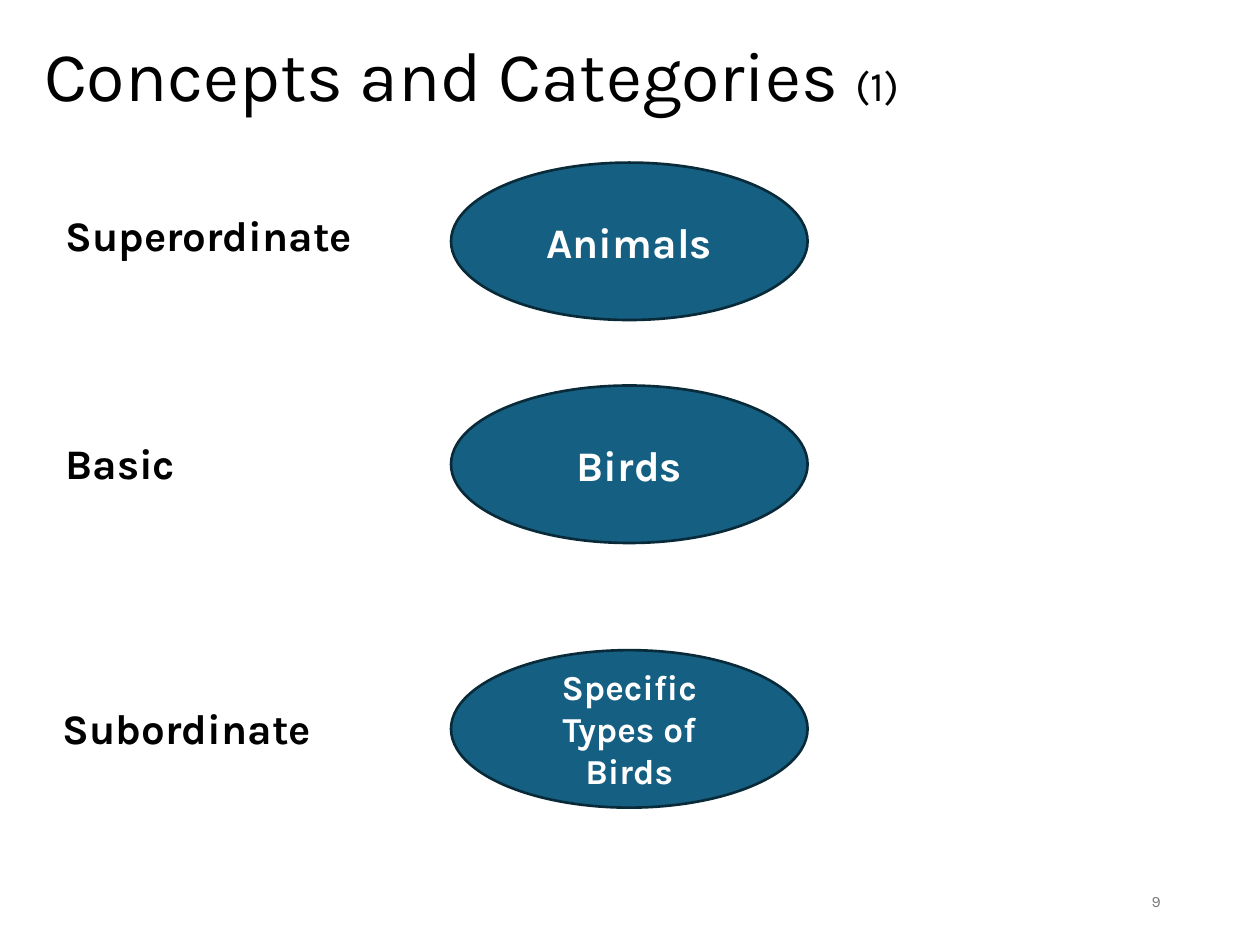
from pptx import Presentation
from pptx.dml.color import RGBColor
from pptx.enum import shapes, text
from pptx.util import Inches, Pt


def color(value):
    return RGBColor.from_string(value)


def write(para, words, size, fill="000000", bold=False, align=text.PP_ALIGN.LEFT):
    para.alignment = align
    span = para.add_run()
    span.text = words
    span.font.name = "Karla"
    span.font.size = Pt(size)
    span.font.bold = bold
    span.font.color.rgb = color(fill)


deck = Presentation()
deck.slide_width, deck.slide_height = Inches(10), Inches(7.5)
page = deck.slides.add_slide(deck.slide_layouts[5])

title = page.shapes.title
title.left, title.top = Inches(0.25), Inches(0)
title.width, title.height = Inches(9), Inches(1.25)
title.text_frame.vertical_anchor = text.MSO_ANCHOR.MIDDLE
heading = title.text_frame.paragraphs[0]
heading.line_spacing = 0.9
write(heading, "Concepts and Categories ", 40)
write(heading, "(1)", 24)

# level, label left and top, example, ellipse top, example size
levels = [
    ("Superordinate", 0.42, 1.61, "Animals", 1.29, 24),
    ("Basic", 0.42, 3.42, "Birds", 3.06, 24),
    ("Subordinate", 0.4, 5.53, "Specific Types of Birds", 5.16, 20),
]
for level, left, label_top, example, ellipse_top, size in levels:
    label = page.shapes.add_textbox(
        Inches(left), Inches(label_top), Inches(2.83), Inches(0.5))
    label.text_frame.word_wrap = True
    label.text_frame.auto_size = text.MSO_AUTO_SIZE.SHAPE_TO_FIT_TEXT
    write(label.text_frame.paragraphs[0], level, 24, bold=True)

    ellipse = page.shapes.add_shape(
        shapes.MSO_SHAPE.OVAL,
        Inches(3.58), Inches(ellipse_top), Inches(2.83), Inches(1.25))
    ellipse.shadow.inherit = False
    ellipse.fill.solid()
    ellipse.fill.fore_color.rgb = color("156082")
    ellipse.line.color.rgb = color("092A39")
    ellipse.line.width = Pt(1.5)
    ellipse.text_frame.word_wrap = True
    ellipse.text_frame.vertical_anchor = text.MSO_ANCHOR.MIDDLE
    write(ellipse.text_frame.paragraphs[0], example, size, "FFFFFF", True,
          text.PP_ALIGN.CENTER)

number = page.shapes.add_textbox(Inches(7.06), Inches(6.95), Inches(2.25), Inches(0.4))
number.text_frame.word_wrap = True
number.text_frame.vertical_anchor = text.MSO_ANCHOR.MIDDLE
write(number.text_frame.paragraphs[0], "9", 9, "797979", align=text.PP_ALIGN.RIGHT)

deck.save("out.pptx")
